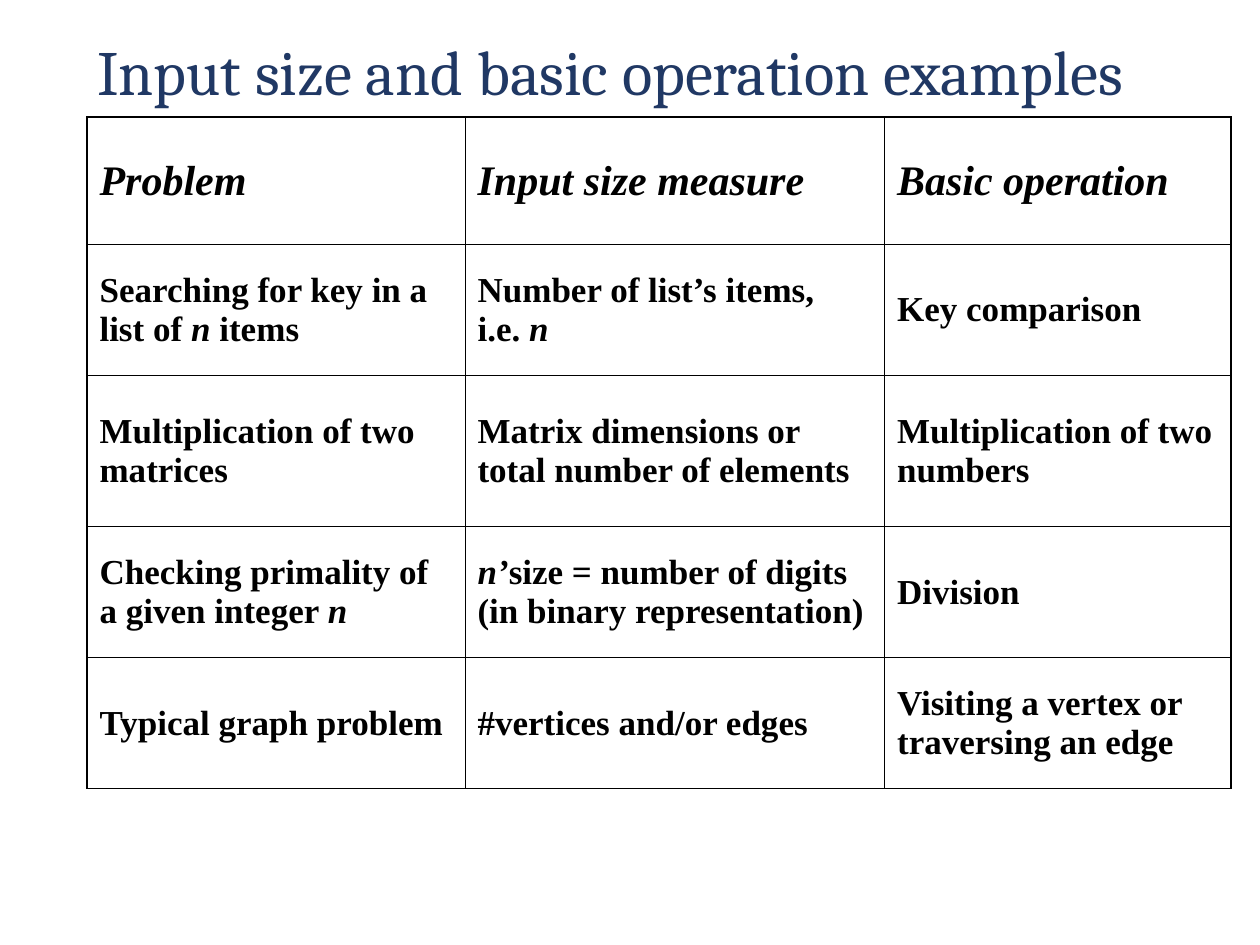
from lxml import etree
from pptx import Presentation
from pptx import util as u
from pptx.dml import color
from pptx.enum import text
from pptx.oxml import ns

COLORS = {"title": "203864", "ink": "000000"}
HEADER = ["*Problem*", "*Input size measure*", "*Basic operation*"]
EXAMPLES = [
    ["Searching for key in a list of *n* items",
     "Number of list’s items,\ni.e. *n*",
     "Key comparison"],
    ["Multiplication of two matrices",
     "Matrix dimensions or total number of elements",
     "Multiplication of two numbers"],
    ["Checking primality of a given integer *n*",
     "*n’*size = number of digits (in binary representation)",
     "Division"],
    ["Typical graph problem",
     "#vertices and/or edges",
     "Visiting a vertex or traversing an edge"],
]
COLUMN_WIDTHS = [3, 3.33, 2.75]
ROW_HEIGHTS = [1.01, 1.04, 1.2, 1.04, 1.04]
OUTER_LINE, INNER_LINE = u.Pt(1.08), u.Pt(0.45)


def write(paragraph, content, size, font, ink, bold=False):
    for index, part in enumerate(content.split("*")):
        for line_index, line in enumerate(part.split("\n")):
            if line_index:
                paragraph.add_line_break()
            if line:
                run = paragraph.add_run()
                run.text = line
                run.font.size = u.Pt(size)
                run.font.name = font
                run.font.bold = bold
                run.font.italic = index % 2 == 1
                run.font.color.rgb = color.RGBColor.from_string(COLORS[ink])


def add_border(cell, side, width):
    line = etree.SubElement(cell._tc.get_or_add_tcPr(), ns.qn(f"a:ln{side}"), w=str(width))
    fill = etree.SubElement(line, ns.qn("a:solidFill"))
    etree.SubElement(fill, ns.qn("a:srgbClr"), val=COLORS["ink"])


presentation = Presentation()
presentation.slide_width = u.Inches(10)
presentation.slide_height = u.Inches(7.5)
slide = presentation.slides.add_slide(presentation.slide_layouts[5])

title = slide.shapes.title
title.left, title.top = u.Inches(0.67), u.Inches(0.22)
title.width, title.height = u.Inches(9.33), u.Inches(0.75)
title.text_frame.vertical_anchor = text.MSO_ANCHOR.MIDDLE
title.text_frame.auto_size = text.MSO_AUTO_SIZE.NONE
paragraph = title.text_frame.paragraphs[0]
paragraph.alignment = text.PP_ALIGN.LEFT
paragraph.line_spacing = 0.9
write(paragraph, "Input size and basic operation examples", size=36, font="Cambria", ink="title")

rows = [HEADER] + EXAMPLES
last_row, last_column = len(rows) - 1, len(HEADER) - 1
table = slide.shapes.add_table(
    len(rows), len(HEADER), u.Inches(0.69), u.Inches(0.93),
    u.Inches(sum(COLUMN_WIDTHS)), u.Inches(sum(ROW_HEIGHTS))).table
table.horz_banding = False
for column, width in zip(table.columns, COLUMN_WIDTHS):
    column.width = u.Inches(width)
for row, height in zip(table.rows, ROW_HEIGHTS):
    row.height = u.Inches(height)

for row_index, row in enumerate(rows):
    for column_index, content in enumerate(row):
        cell = table.cell(row_index, column_index)
        cell.vertical_anchor = text.MSO_ANCHOR.MIDDLE
        on_edge = {"L": column_index == 0, "R": column_index == last_column,
                   "T": row_index == 0, "B": row_index == last_row}
        for side, outer in on_edge.items():
            add_border(cell, side, OUTER_LINE if outer else INNER_LINE)
        cell.fill.background()
        write(cell.text_frame.paragraphs[0], content, size=20 if row_index else 24,
              font="Times New Roman", ink="ink", bold=True)

presentation.save("out.pptx")
